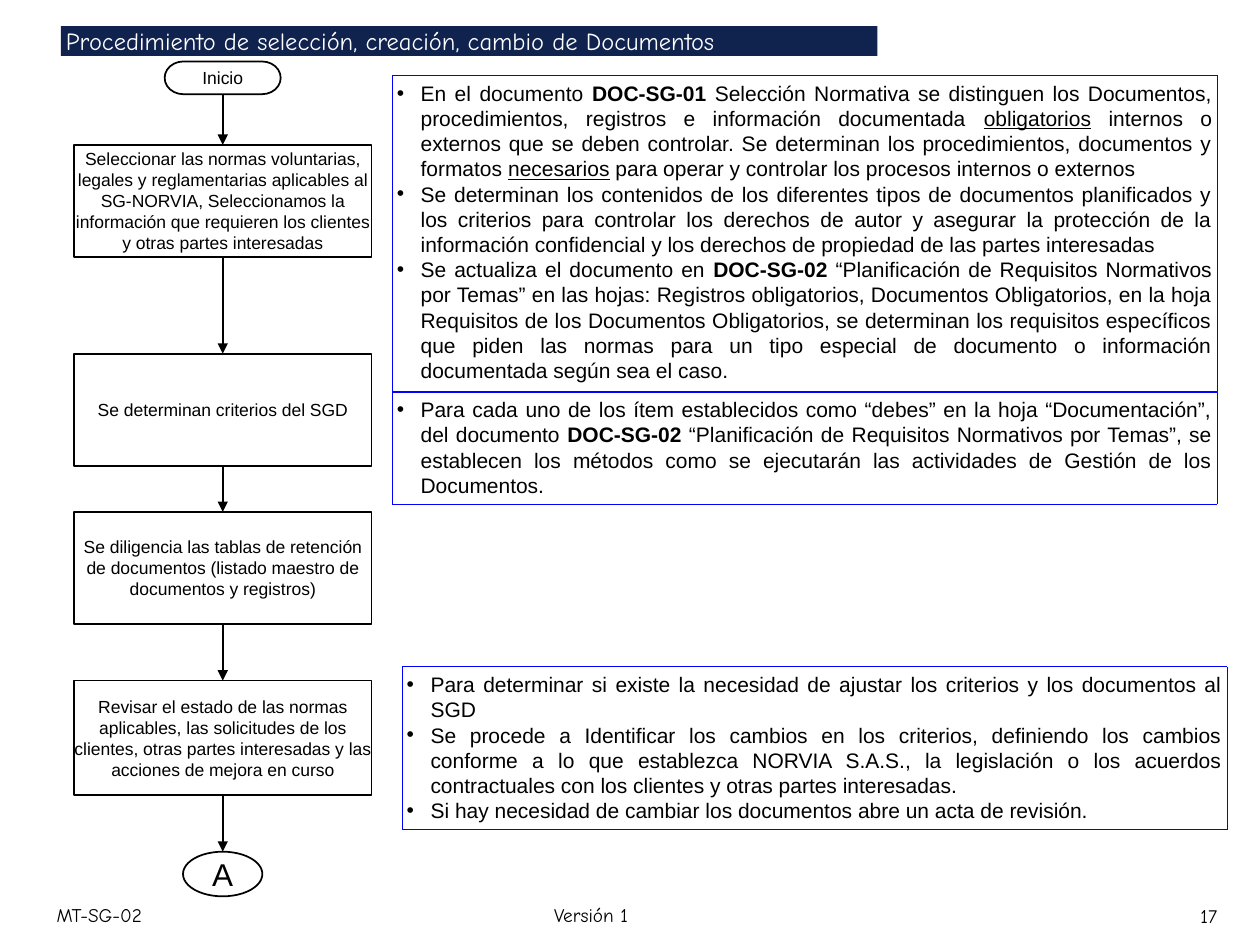
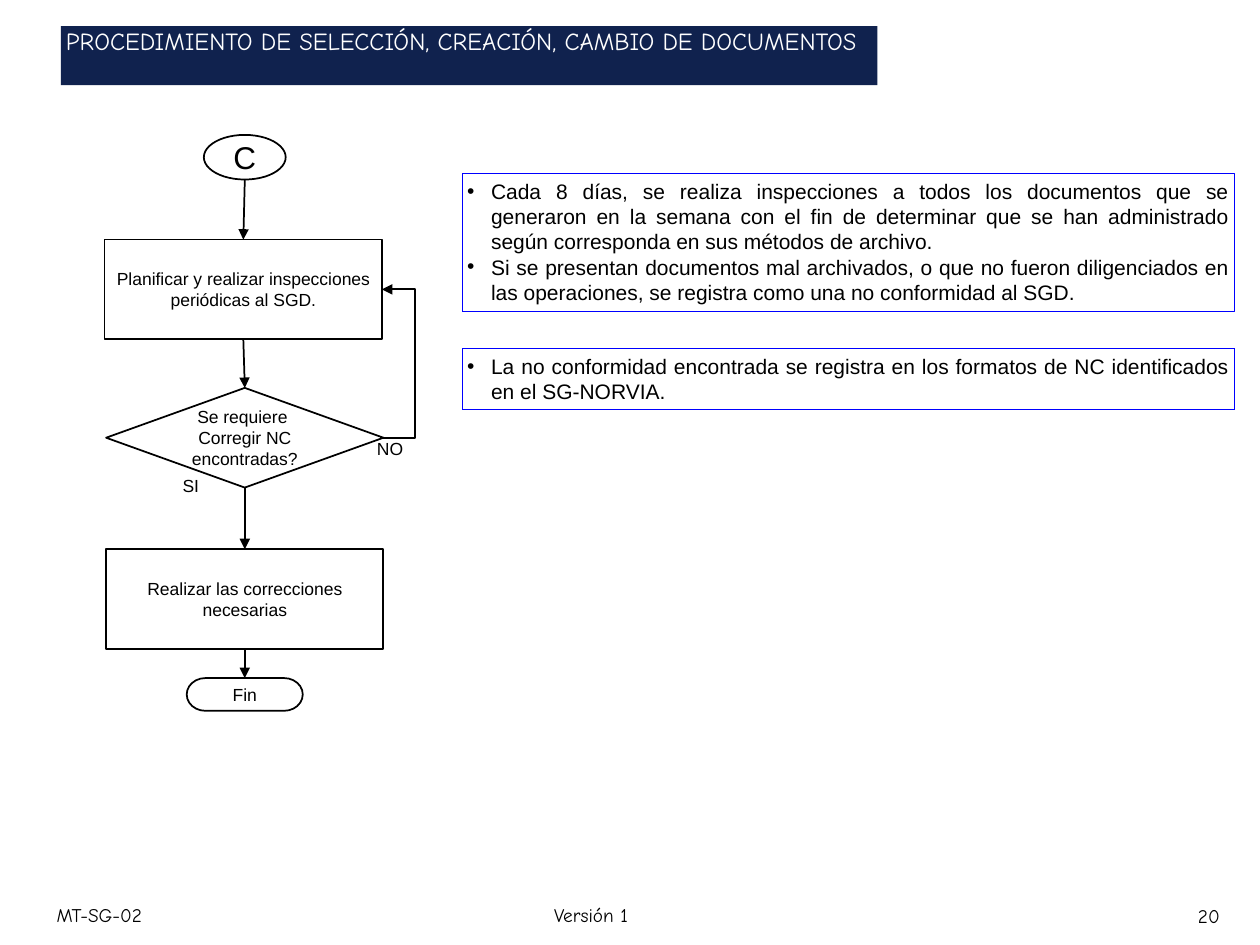
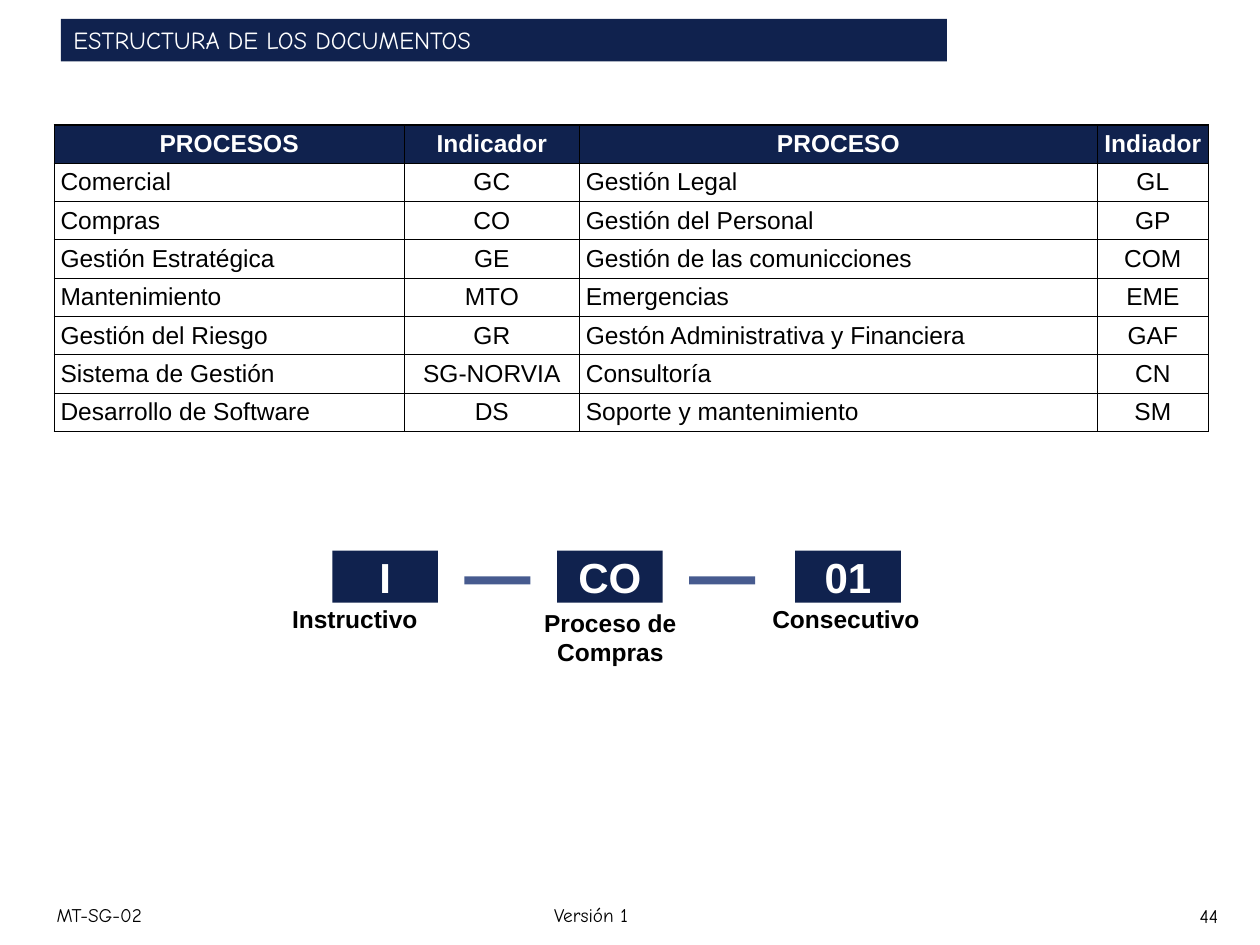
from dataclasses import dataclass
from itertools import pairwise

from lxml.etree import SubElement
from pptx import Presentation
from pptx.dml.color import RGBColor
from pptx.enum.dml import MSO_LINE
from pptx.enum.shapes import MSO_CONNECTOR, MSO_SHAPE
from pptx.enum.text import MSO_ANCHOR, PP_ALIGN
from pptx.oxml.ns import qn
from pptx.util import Cm, Pt


@dataclass(frozen=True)
class Theme:
    navy: str = "10224E"
    dash: str = "193374"
    blue: str = "0000FF"
    black: str = "000000"
    white: str = "FFFFFF"
    body: str = "Arial"
    head: str = "Comic Neue"
    step: int = 10
    foot: int = 11
    note: int = 12
    title: int = 14
    mark: int = 18
    code: int = 24


T = Theme()
LEFT, MID, JUST = PP_ALIGN.LEFT, PP_ALIGN.CENTER, PP_ALIGN.JUSTIFY
PILL = MSO_SHAPE.FLOWCHART_TERMINATOR
STEP = MSO_SHAPE.FLOWCHART_PROCESS
RECT = MSO_SHAPE.RECTANGLE
TEST = MSO_SHAPE.FLOWCHART_DECISION
RING = MSO_SHAPE.FLOWCHART_CONNECTOR


def rgb(code):
    return RGBColor.from_string(code)


def cm(*nums):
    return [Cm(n) for n in nums]


def write(frame, paras, size, color=T.black, font=T.body, align=MID, bold=False):
    for i, runs in enumerate(paras):
        para = frame.paragraphs[0] if i == 0 else frame.add_paragraph()
        para.alignment = align
        for text, style in [(runs, "")] if isinstance(runs, str) else runs:
            run = para.add_run()
            run.text = text
            run.font.size = Pt(size)
            run.font.name = font
            run.font.color.rgb = rgb(color)
            run.font.bold = bold or style == "b"
            run.font.underline = style == "u"


def inset(frame, side=0, top=0, anchor=MSO_ANCHOR.MIDDLE):
    frame.margin_left = frame.margin_right = Cm(side)
    frame.margin_top = frame.margin_bottom = Cm(top)
    frame.vertical_anchor = anchor


def shape(slide, kind, box, fill=None, line=None, width=1):
    item = slide.shapes.add_shape(kind, *cm(*box))
    item.shadow.inherit = False
    if fill:
        item.fill.solid()
        item.fill.fore_color.rgb = rgb(fill)
    else:
        item.fill.background()
    if line:
        item.line.color.rgb = rgb(line)
        item.line.width = Pt(width)
    else:
        item.line.fill.background()
    inset(item.text_frame)
    return item


def label(slide, box, paras, size, wrap=True, pad=(0, 0), **look):
    frame = slide.shapes.add_textbox(*cm(*box)).text_frame
    frame.word_wrap = wrap
    inset(frame, *pad)
    write(frame, paras, size, **look)
    return frame


def link(slide, start, end, kind=MSO_CONNECTOR.STRAIGHT, color=T.black, width=1):
    line = slide.shapes.add_connector(kind, *cm(*start, *end))
    line.line.color.rgb = rgb(color)
    line.line.width = Pt(width)
    SubElement(line._element.spPr, qn("a:effectLst"))
    return line


def arrow(line):
    SubElement(line.line._get_or_add_ln(), qn("a:tailEnd"), type="triangle")


def banner(slide, box, text, side=0.1, top=0):
    bar = shape(slide, RECT, box, T.navy)
    inset(bar.text_frame, side, top, MSO_ANCHOR.TOP)
    write(bar.text_frame, [text], T.title, T.white, T.head, LEFT)


def footer(slide, box, page):
    x, y, w, h = box
    frame = label(slide, (x, y, 14, h), ["MT-SG-02\tVersión 1"], T.foot,
                  pad=(0.25, 0.13), font=T.head, align=LEFT)
    tabs = SubElement(frame.paragraphs[0]._p.get_or_add_pPr(), qn("a:tabLst"))
    SubElement(tabs, qn("a:tab"), pos=str(Cm(10.03)), algn="l")
    label(slide, (x + w - 2.06, y + 0.15, 2.06, 0.46), [page], T.foot, font=T.head)


def flow(slide, box, nodes):
    x, y, w, _ = box
    items = []
    for kind, top, width, high, shift, paras in nodes:
        place = (x + (w - width) / 2 + shift, y + top, width, high)
        item = shape(slide, kind, place, line=T.black)
        write(item.text_frame, paras, T.mark if kind == RING else T.step)
        items.append((item, kind, place))
    for (one, kind, a), (two, _, b) in pairwise(items):
        line = link(slide, (a[0] + a[2] / 2, a[1] + a[3]), (b[0] + b[2] / 2, b[1]))
        if kind != RING:
            line.begin_connect(one, 2)
        line.end_connect(two, 0)
        arrow(line)
    return [item for item, _, _ in items]


def loop(slide, test, step, reach):
    line = link(slide, (0, 0), (1, 1), MSO_CONNECTOR.ELBOW)
    line.begin_connect(test, 3)
    line.end_connect(step, 3)
    ratio = round(-Cm(reach) / line.width * 100000)
    guides = line._element.spPr.find(qn("a:prstGeom")).get_or_add_avLst()
    SubElement(guides, qn("a:gd"), name="adj1", fmla=f"val {ratio}")
    arrow(line)


def notes(slide, box, paras):
    item = shape(slide, RECT, box, line=T.blue, width=0.25)
    item.line.dash_style = MSO_LINE.ROUND_DOT
    frame = item.text_frame
    inset(frame, 0.1, 0.1, MSO_ANCHOR.TOP)
    write(frame, paras, T.note, align=JUST)
    for para in frame.paragraphs:
        props = para._p.get_or_add_pPr()
        props.set("marL", str(Cm(0.48)))
        props.set("indent", str(-Cm(0.48)))
        SubElement(props, qn("a:buFont"), typeface="Arial")
        SubElement(props, qn("a:buChar"), char="•")


def border(cell):
    props = cell._tc.get_or_add_tcPr()
    for i, side in enumerate(("lnL", "lnR", "lnT", "lnB")):
        line = props.makeelement(qn(f"a:{side}"), {"w": str(Pt(0.75))})
        fill = SubElement(line, qn("a:solidFill"))
        SubElement(fill, qn("a:srgbClr"), val=T.black)
        props.insert(i, line)


def grid(slide, box, widths, rows):
    table = slide.shapes.add_table(len(rows), len(widths), *cm(*box)).table
    for col, width in zip(table.columns, widths):
        col.width = Cm(width)
    for r, row in enumerate(rows):
        table.rows[r].height = Cm(box[3] / len(rows))
        for c, text in enumerate(row):
            cell = table.cell(r, c)
            cell.margin_left = cell.margin_right = Cm(0.13)
            cell.margin_top = cell.margin_bottom = 0
            cell.vertical_anchor = MSO_ANCHOR.MIDDLE
            if r == 0:
                cell.fill.solid()
                cell.fill.fore_color.rgb = rgb(T.navy)
            else:
                cell.fill.background()
            write(cell.text_frame, [text], T.title,
                  color=T.black if r else T.white,
                  align=LEFT if r and c % 2 == 0 else MID, bold=r == 0)
            border(cell)


def codes(slide, box, parts):
    x, y, _, h = box
    for left, text, spot, paras in parts:
        item = shape(slide, RECT, (x + left, y, 2.13, h), T.navy)
        write(item.text_frame, [text], T.code, T.white, bold=True)
        label(slide, (x + spot[0], y + spot[1], *spot[2:]), paras, T.title,
              wrap=False, pad=(0.25, 0.13), bold=True)
    for left in (2.66, 7.19):
        line = link(slide, (x + left, y + 0.6), (x + left + 1.33, y + 0.6),
                    color=T.dash, width=4.5)
        tint = line._element.spPr.find(".//" + qn("a:srgbClr"))
        SubElement(tint, qn("a:alpha"), val="80000")


def page(deck, num, box, text, **pad):
    slide = deck.slides.add_slide(deck.slide_layouts[6])
    footer(slide, (0.89, 18.08, 24.51, 0.74), num)
    banner(slide, box, text, **pad)
    return slide


def select(deck):
    slide = page(deck, "17", (1.23, 0.53, 16.46, 0.6),
                 "Procedimiento de selección, creación, cambio de Documentos")
    flow(slide, (1.49, 1.24, 6, 16.83), [
        (PILL, 0, 2.34, 0.66, 0, ["Inicio"]),
        (STEP, 1.68, 6, 2.26, 0, [
            "Seleccionar las normas voluntarias, legales y reglamentarias aplicables al "
            "SG-NORVIA, Seleccionamos la información que requieren los clientes y otras "
            "partes interesadas"]),
        (STEP, 5.89, 6, 2.26, 0, ["Se determinan criterios del SGD"]),
        (STEP, 9.08, 6, 2.26, 0, [
            "Se diligencia las tablas de retención de documentos (listado maestro de "
            "documentos y registros)"]),
        (STEP, 12.48, 6, 2.31, 0, [
            "Revisar el estado de las normas aplicables, las solicitudes de los clientes, "
            "otras partes interesadas y las acciones de mejora en curso"]),
        (RING, 15.93, 1.6, 0.9, 0, ["A"]),
    ])
    notes(slide, (7.9, 1.52, 16.64, 6.36), [
        [("En el documento ", ""), ("DOC-SG-01", "b"),
         (" Selección Normativa se distinguen los Documentos, procedimientos, registros e "
          "información documentada ", ""), ("obligatorios", "u"),
         (" internos o externos que se deben controlar. Se determinan los procedimientos, "
          "documentos y formatos ", ""), ("necesarios", "u"),
         (" para operar y controlar los procesos internos o externos", "")],
        "Se determinan los contenidos de los diferentes tipos de documentos planificados y "
        "los criterios para controlar los derechos de autor y asegurar la protección de la "
        "información confidencial y los derechos de propiedad de las partes interesadas",
        [("Se actualiza el documento en ", ""), ("DOC-SG-02", "b"),
         (" “Planificación de Requisitos Normativos por Temas” en las hojas: Registros "
          "obligatorios, Documentos Obligatorios, en la hoja Requisitos de los Documentos "
          "Obligatorios, se determinan los requisitos específicos que piden las normas para "
          "un tipo especial de documento o información documentada según sea el caso.", "")],
    ])
    notes(slide, (7.9, 7.9, 16.64, 2.26), [
        [("Para cada uno de los ítem establecidos como “debes” en la hoja “Documentación”, "
          "del documento ", ""), ("DOC-SG-02", "b"),
         (" “Planificación de Requisitos Normativos por Temas”, se establecen los métodos "
          "como se ejecutarán las actividades de Gestión de los Documentos.", "")],
    ])
    notes(slide, (8.1, 13.44, 16.64, 3.28), [
        "Para determinar si existe la necesidad de ajustar los criterios y los documentos "
        "al SGD",
        "Se procede a Identificar los cambios en los criterios, definiendo los cambios "
        "conforme a lo que establezca NORVIA S.A.S., la legislación o los acuerdos "
        "contractuales con los clientes y otras partes interesadas.",
        "Si hay necesidad de cambiar los documentos abre un acta de revisión.",
    ])


def inspect(deck):
    slide = page(deck, "20", (1.23, 0.53, 16.46, 1.19),
                 "PROCEDIMIENTO DE SELECCIÓN, CREACIÓN, CAMBIO DE DOCUMENTOS")
    _, plan, test, _, _ = flow(slide, (2.14, 2.72, 5.59, 11.61), [
        (RING, 0, 1.65, 0.9, 0, ["C"]),
        (RECT, 2.11, 5.59, 2.01, -0.03,
         ["Planificar y realizar inspecciones periódicas al SGD."]),
        (TEST, 5.1, 5.59, 2.01, 0, ["Se requiere ", "Corregir NC encontradas?"]),
        (RECT, 8.35, 5.59, 2.01, 0, ["Realizar las correcciones necesarias"]),
        (PILL, 10.95, 2.34, 0.66, 0, ["Fin"]),
    ])
    loop(slide, test, plan, 0.64)
    for x, y, text in ((7.6, 8.83, "NO"), (3.68, 9.58, "SI")):
        label(slide, (x, y, 0.99, 0.43), [text], T.step, align=LEFT)
    notes(slide, (9.32, 3.5, 15.57, 2.77), [
        "Cada 8 días, se realiza inspecciones a todos los documentos que se generaron en la "
        "semana con el fin de determinar que se han administrado según corresponda en sus "
        "métodos de archivo.",
        "Si se presentan documentos mal archivados, o que no fueron diligenciados en las "
        "operaciones, se registra como una no conformidad al SGD.",
    ])
    notes(slide, (9.32, 7.03, 15.57, 1.22), [
        "La no conformidad encontrada se registra en los formatos de NC identificados en el "
        "SG-NORVIA.",
    ])


def struct(deck):
    slide = page(deck, "44", (1.23, 0.38, 17.86, 0.86),
                 "ESTRUCTURA DE LOS DOCUMENTOS", side=0.25, top=0.13)
    grid(slide, (1.09, 2.52, 23.27, 6.18), (7.06, 3.53, 10.44, 2.24), [
        ("PROCESOS", "Indicador", "PROCESO", "Indiador"),
        ("Comercial", "GC", "Gestión Legal", "GL"),
        ("Compras", "CO", "Gestión del Personal", "GP"),
        ("Gestión Estratégica", "GE", "Gestión de las comunicciones", "COM"),
        ("Mantenimiento", "MTO", "Emergencias", "EME"),
        ("Gestión del Riesgo", "GR", "Gestón Administrativa y Financiera", "GAF"),
        ("Sistema de Gestión", "SG-NORVIA", "Consultoría", "CN"),
        ("Desarrollo de Software", "DS", "Soporte y mantenimiento", "SM"),
    ])
    codes(slide, (6.7, 11.1, 11.46, 1.05), [
        (0, "I", (-1.08, 0.95, 3.07, 0.86), ["Instructivo"]),
        (4.53, "CO", (3.99, 1.02, 3.23, 1.45), ["Proceso de", "Compras"]),
        (9.33, "01", (8.6, 0.95, 3.51, 0.86), ["Consecutivo"]),
    ])


def main():
    deck = Presentation()
    deck.slide_width, deck.slide_height = cm(25.4, 19.05)
    for build in (select, inspect, struct):
        build(deck)
    deck.save("out.pptx")


if __name__ == "__main__":
    main()
